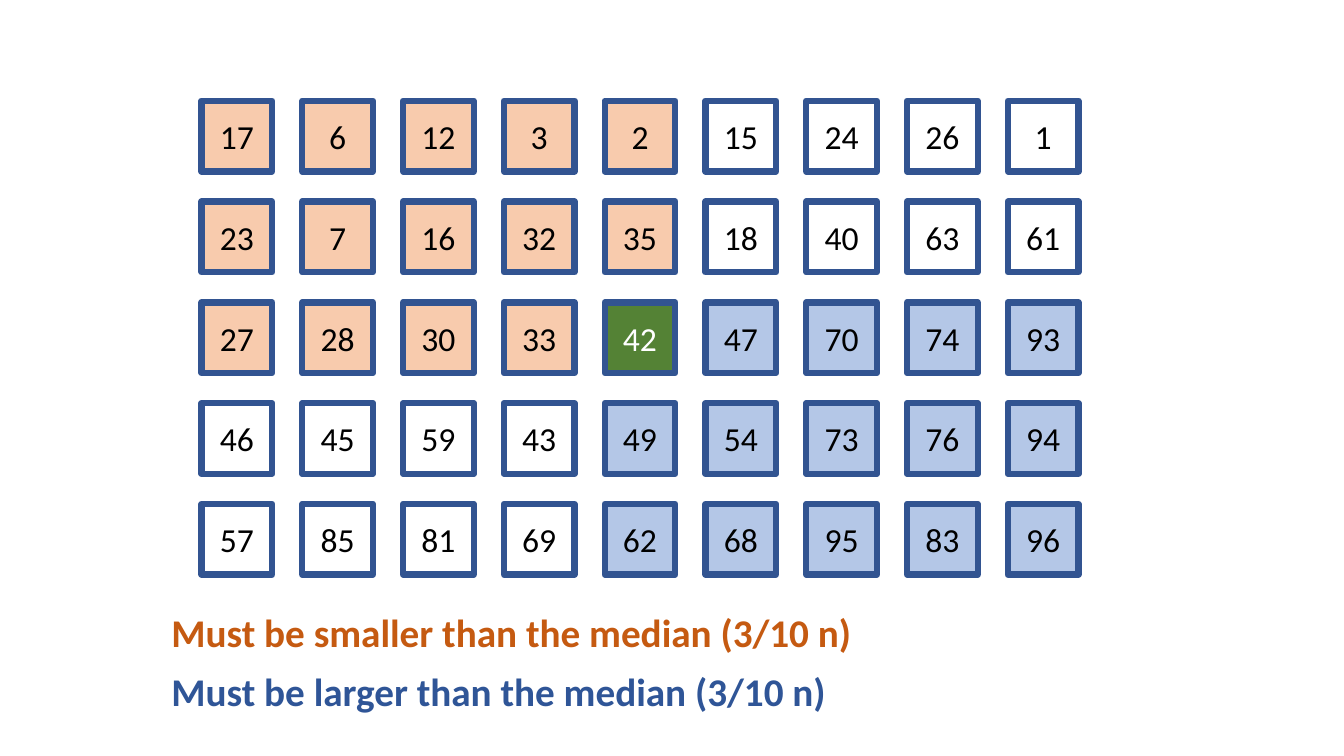
"""Build the median-of-medians slide."""
import pptx
import pptx.dml.color
import pptx.enum.shapes
import pptx.enum.text
import pptx.util

Cm = pptx.util.Cm
Pt = pptx.util.Pt
PP_ALIGN = pptx.enum.text.PP_ALIGN
MSO_ANCHOR = pptx.enum.text.MSO_ANCHOR

NUMBERS = [
    [17, 6, 12, 3, 2, 15, 24, 26, 1],
    [23, 7, 16, 32, 35, 18, 40, 63, 61],
    [27, 28, 30, 33, 42, 47, 70, 74, 93],
    [46, 45, 59, 43, 49, 54, 73, 76, 94],
    [57, 85, 81, 69, 62, 68, 95, 83, 96],
]
MEDIAN_ROW, MEDIAN_COL = 2, 4
SMALLER, LARGER, MEDIAN, BORDER = "F8CBAD", "B4C7E7", "548235", "325491"
CAPTIONS = [
    ("Must be smaller than the median (3/10 n)", "C55A11", 18.08),
    ("Must be larger than the median (3/10 n)", "2F5597", 17.2),
]


def rgb(value):
    """Turn a hex string into a colour."""
    return pptx.dml.color.RGBColor.from_string(value)


def write(tf, text, color, **formats):
    """Write one formatted run and return its paragraph."""
    p = tf.paragraphs[0]
    r = p.add_run()
    r.text = text
    r.font.color.rgb = rgb(color)
    for name, value in {"name": "Calibri", **formats}.items():
        setattr(r.font, name, value)
    return p


def cell_fill(row, col):
    """Return the fill for a grid position, or None if its order is unknown."""
    if (row, col) == (MEDIAN_ROW, MEDIAN_COL):
        return MEDIAN
    if row <= MEDIAN_ROW and col <= MEDIAN_COL:
        return SMALLER
    if row >= MEDIAN_ROW and col >= MEDIAN_COL:
        return LARGER
    return None


def add_cell(slide, left, top, side, number, fill):
    """Add one bordered square with its number."""
    sp = slide.shapes.add_shape(
        pptx.enum.shapes.MSO_SHAPE.RECTANGLE, Cm(left), Cm(top), Cm(side), Cm(side))
    sp.shadow.inherit = False
    if fill:
        sp.fill.solid()
        sp.fill.fore_color.rgb = rgb(fill)
    else:
        sp.fill.background()
    sp.line.color.rgb = rgb(BORDER)
    sp.line.width = Pt(4.5)
    sp.text_frame.vertical_anchor = MSO_ANCHOR.MIDDLE
    color = "FFFFFF" if fill == MEDIAN else "000000"
    write(sp.text_frame, str(number), color, size=Pt(24)).alignment = PP_ALIGN.CENTER


def add_grid(slide, left, top, pitch, side):
    """Add the grid of numbers at an even pitch."""
    for row, numbers in enumerate(NUMBERS):
        for col, number in enumerate(numbers):
            add_cell(slide, left + col * pitch, top + row * pitch, side,
                     number, cell_fill(row, col))


def add_captions(slide, left, top, pitch, height):
    """Add the colour captions under the grid."""
    for i, (text, color, width) in enumerate(CAPTIONS):
        sp = slide.shapes.add_textbox(
            Cm(left), Cm(top + i * pitch), Cm(width), Cm(height))
        tf = sp.text_frame
        tf.word_wrap = False
        tf.auto_size = pptx.enum.text.MSO_AUTO_SIZE.SHAPE_TO_FIT_TEXT
        write(tf, text, color, size=Pt(28), bold=True)


def main():
    """Create the presentation and save it."""
    prs = pptx.Presentation()
    prs.slide_width, prs.slide_height = Cm(33.87), Cm(19.05)
    slide = prs.slides.add_slide(prs.slide_layouts[6])
    add_grid(slide, left=5.08, top=2.54, pitch=2.54, side=1.78)
    add_captions(slide, left=4.07, top=15.21, pitch=1.48, height=1.45)
    prs.save("out.pptx")


main()
